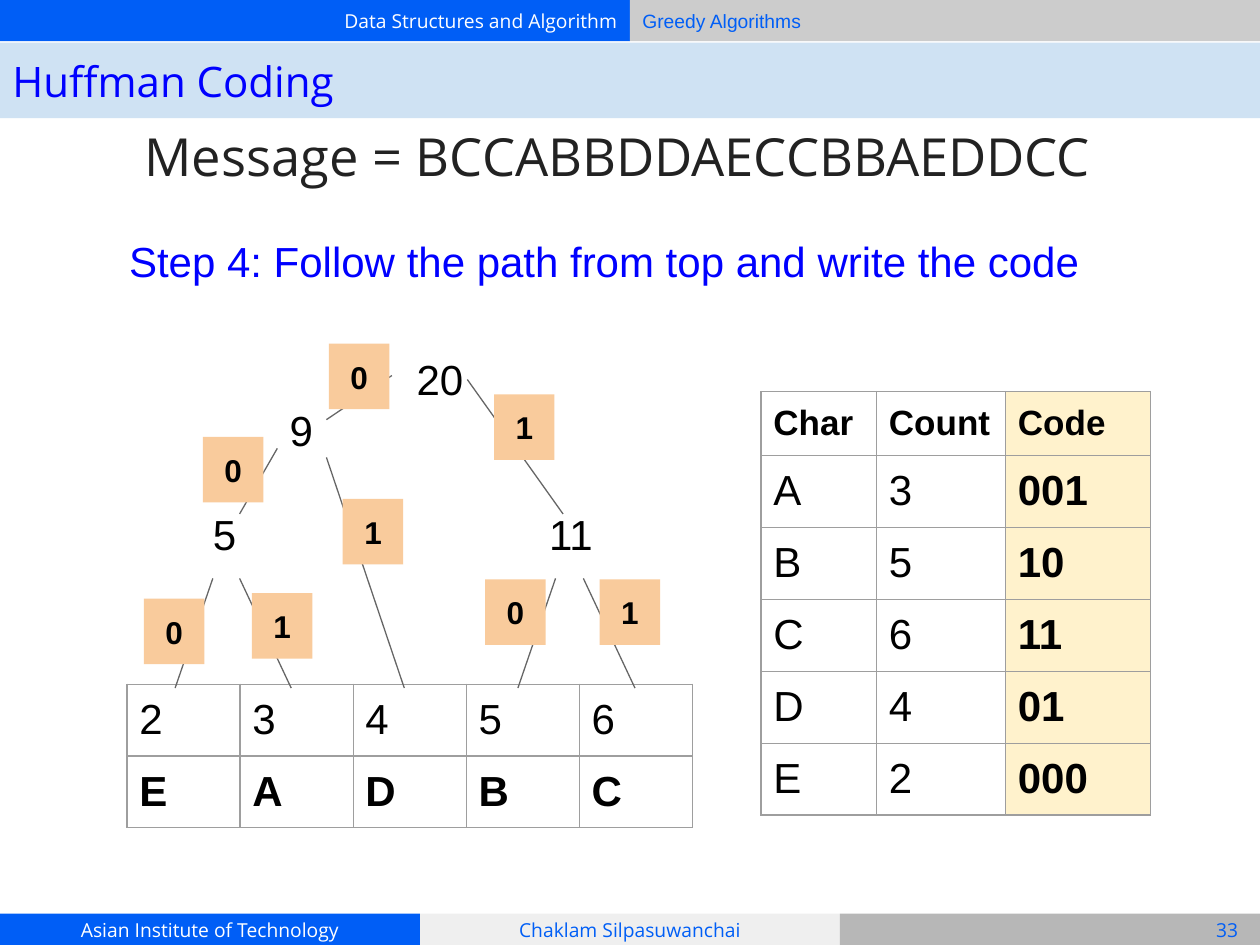
from dataclasses import dataclass

from lxml.etree import SubElement
from pptx import Presentation
from pptx.dml.color import RGBColor
from pptx.enum.shapes import MSO_CONNECTOR as Line, MSO_SHAPE as Shape
from pptx.enum.text import MSO_ANCHOR as Anchor, MSO_AUTO_SIZE as Fit, PP_ALIGN as Align
from pptx.oxml.ns import qn
from pptx.util import Cm, Pt


@dataclass(frozen=True)
class Theme:
    sans: str = "Arial"
    display: str = "Open Sans"
    black: str = "000000"
    white: str = "FFFFFF"
    ink: str = "222222"
    blue: str = "0000FF"
    brand: str = "005EF6"
    header_grey: str = "CCCCCC"
    pale_grey: str = "EFEFEF"
    footer_grey: str = "B7B7B7"
    title_band: str = "CFE2F3"
    code_fill: str = "FFF2CC"
    bit_fill: str = "F9CB9C"
    edge: str = "666666"
    grid: str = "9E9E9E"
    small: int = 11
    bit: int = 18
    table_head: int = 20
    normal: int = 24
    message: int = 30
    hairline: float = 0.75


class Deck:
    def __init__(self, prs, theme):
        self.theme = theme
        self.s = prs.slides.add_slide(prs.slide_layouts[1])

    def set_text(self, tf, text, size, color, font=None, bold=False,
                 align=Align.LEFT, anchor=Anchor.TOP):
        tf.word_wrap = True
        tf.auto_size = Fit.NONE
        tf.vertical_anchor = anchor
        tf.margin_left = tf.margin_right = tf.margin_top = tf.margin_bottom = Cm(0.25)
        self.add_run(tf.paragraphs[0], text, size, color, font, bold, align)

    def add_run(self, p, text, size, color, font=None, bold=False, align=Align.LEFT):
        p.alignment = align
        r = p.add_run()
        r.text = text
        r.font.name = font or self.theme.sans
        r.font.size = Pt(size)
        r.font.bold = bold
        r.font.color.rgb = RGBColor.from_string(color)

    def paint(self, fill, color):
        fill.solid()
        fill.fore_color.rgb = RGBColor.from_string(color)

    def placeholder(self, sp, box, text, size, color, fill=None, **style):
        sp.left, sp.top, sp.width, sp.height = map(Cm, box)
        if fill:
            self.paint(sp.fill, fill)
        p = sp.text_frame.paragraphs[0]
        pPr = p._p.get_or_add_pPr()
        pPr.set("marL", "0")
        pPr.set("indent", "0")
        SubElement(pPr, qn("a:buNone"))
        p.space_before = Pt(0)
        self.set_text(sp.text_frame, text, size, color, self.theme.display, **style)

    def rect(self, box, fill, text="", size=None, color=None, **style):
        sp = self.s.shapes.add_shape(Shape.RECTANGLE, *map(Cm, box))
        sp.shadow.inherit = False
        self.paint(sp.fill, fill)
        sp.line.fill.background()
        if text:
            self.set_text(sp.text_frame, text, size, color, anchor=Anchor.MIDDLE, **style)

    def text(self, box, text, size, color, **style):
        sp = self.s.shapes.add_textbox(*map(Cm, box))
        self.set_text(sp.text_frame, text, size, color, **style)

    def line(self, start, end):
        cx = self.s.shapes.add_connector(Line.STRAIGHT, *map(Cm, start + end))
        cx.line.color.rgb = RGBColor.from_string(self.theme.edge)
        cx.line.width = Pt(self.theme.hairline)
        SubElement(cx._element.spPr, qn("a:effectLst"))

    def borders(self, cell):
        tcPr = cell._tc.get_or_add_tcPr()
        for side in ("lnL", "lnR", "lnT", "lnB"):
            ln = SubElement(tcPr, qn(f"a:{side}"), w=str(Pt(self.theme.hairline)))
            fill = SubElement(ln, qn("a:solidFill"))
            SubElement(fill, qn("a:srgbClr"), val=self.theme.grid)

    def table(self, left, top, widths, heights, rows, is_bold, header=False, filled_col=None):
        """is_bold(row, col) picks the bold cells; filled_col is tinted."""
        t = self.theme
        frame = self.s.shapes.add_table(len(rows), len(widths), Cm(left), Cm(top),
                                        Cm(sum(widths)), Cm(sum(heights)))
        table = frame.table
        table.first_row = table.horz_banding = False
        for col, width in zip(table.columns, widths):
            col.width = Cm(width)
        for i, (values, height) in enumerate(zip(rows, heights)):
            table.rows[i].height = Cm(height)
            size = t.table_head if header and i == 0 else t.normal
            for j, value in enumerate(values):
                cell = table.cell(i, j)
                cell.margin_left = cell.margin_top = Cm(0.25)
                cell.margin_right = cell.margin_bottom = Cm(0.2)
                self.borders(cell)
                if j == filled_col:
                    self.paint(cell.fill, t.code_fill)
                else:
                    cell.fill.background()
                self.add_run(cell.text_frame.paragraphs[0], value, size, t.black,
                             bold=is_bold(i, j))


WIDTH, HEIGHT = 25.4, 19.05
ROW = 1.45

NODES = [("5", 4.04, 10.01, 1.22), ("9", 5.59, 7.9, 1.22),
         ("11", 10.82, 10.01, 1.55), ("20", 8.15, 6.88, 1.55)]

# Bit, parent end, child end, top left corner of the bit label
EDGES = [
    ("0", (7.9, 7.57), (6.58, 8.46), (6.63, 6.93)),
    ("1", (9.42, 7.65), (11.35, 10.36), (9.96, 7.95)),
    ("0", (5.59, 9.04), (4.83, 10.36), (4.09, 8.81)),
    ("1", (6.58, 9.22), (8.15, 13.87), (6.91, 10.06)),
    ("0", (4.29, 11.66), (3.53, 13.87), (2.9, 12.07)),
    ("1", (4.83, 11.66), (5.87, 13.87), (5.08, 11.96)),
    ("0", (11.2, 11.66), (10.44, 13.87), (9.78, 11.68)),
    ("1", (11.76, 11.66), (12.8, 13.87), (12.09, 11.68)),
]

CODES = [("Char", "Count", "Code"), ("A", "3", "001"), ("B", "5", "10"),
         ("C", "6", "11"), ("D", "4", "01"), ("E", "2", "000")]
LEAVES = ["23456", "EADBC"]


def draw_bars(deck):
    t = deck.theme
    half, third = WIDTH / 2, WIDTH / 3
    foot_top, foot_height = 18.42, 0.63
    deck.rect((0, 0, half, 0.83), t.brand, "Data Structures and Algorithm", t.small,
              t.white, font=t.display, align=Align.RIGHT)
    deck.rect((half, 0, half, 0.83), t.header_grey, "Greedy Algorithms", t.small, t.brand)
    footer = [("Asian Institute of Technology", t.brand, t.white),
              ("Chaklam Silpasuwanchai", t.pale_grey, t.brand),
              ("", t.footer_grey, t.brand)]
    for i, (text, fill, color) in enumerate(footer):
        deck.rect((i * third, foot_top, third, foot_height), fill, text, t.small, color,
                  font=t.display, align=Align.CENTER)
    deck.text((24.08, foot_top, 1.32, foot_height), "33", t.small, t.brand,
              font=t.display, align=Align.CENTER, anchor=Anchor.MIDDLE)


def draw_tree(deck):
    t = deck.theme
    for _, parent, child, _ in EDGES:
        deck.line(parent, child)
    for label, left, top, width in NODES:
        deck.text((left, top, width, 1.45), label, t.normal, t.black)
    for bit, _, _, corner in EDGES:
        deck.rect(corner + (1.22, 1.32), t.bit_fill, bit, t.bit, t.black,
                  bold=True, align=Align.CENTER)


def main():
    prs = Presentation()
    prs.slide_width, prs.slide_height = Cm(WIDTH), Cm(HEIGHT)
    t = Theme()
    deck = Deck(prs, t)
    title, body = deck.s.placeholders
    draw_bars(deck)
    deck.placeholder(title, (0, 0.86, WIDTH, 1.52), "Huffman Coding", t.normal, t.blue,
                     fill=t.title_band, anchor=Anchor.MIDDLE)
    deck.placeholder(body, (0.86, 2.24, 23.19, 2.57), "Message = BCCABBDDAECCBBAEDDCC",
                     t.message, t.ink, align=Align.CENTER)
    deck.text((1.98, 4.5, 20.4, 2.39), "Step 4: Follow the path from top and write the code",
              t.normal, t.blue, align=Align.CENTER)
    deck.table(15.34, 7.89, [2.33, 2.6, 2.92], [1.29] + [ROW] * 5, CODES,
               lambda i, j: i == 0 or j == 2, header=True, filled_col=2)
    deck.table(2.56, 13.79, [2.28] * 5, [ROW] * 2, LEAVES, lambda i, j: i == 1)
    draw_tree(deck)
    prs.save("out.pptx")


if __name__ == "__main__":
    main()
